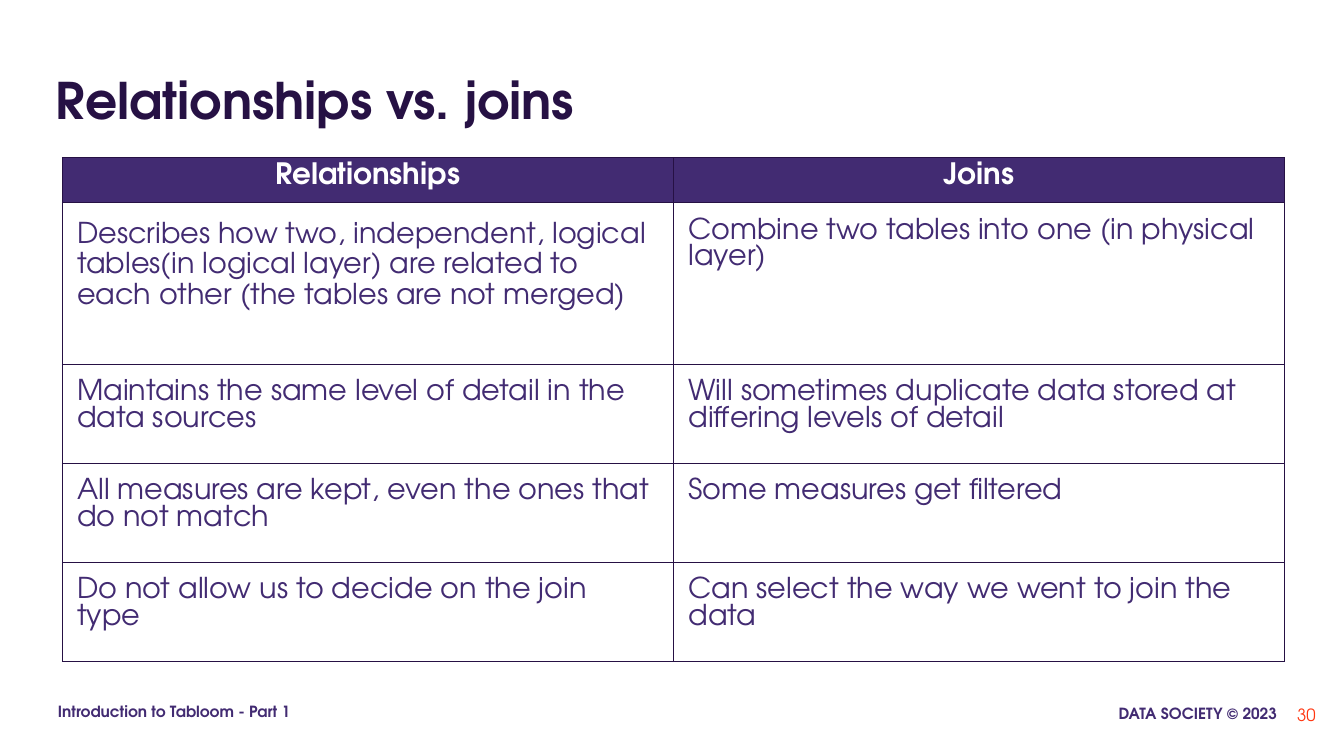
from lxml import etree
from pptx import Presentation
from pptx.dml.color import RGBColor
from pptx.enum import text
from pptx.oxml.ns import qn
from pptx.util import Inches, Pt

FONT = "TeX Gyre Adventor"
COLORS = {"title": "261144", "purple": "422B72", "white": "FFFFFF", "number": "FF350F"}
LEFT, CENTER, RIGHT = text.PP_ALIGN.LEFT, text.PP_ALIGN.CENTER, text.PP_ALIGN.RIGHT

ROWS = [
    ("Relationships", "Joins"),
    ("Describes how two, independent, logical tables(in logical layer) are related to "
     "each other (the tables are not merged)",
     "Combine two tables into one (in physical layer)"),
    ("Maintains the same level of detail in the data sources",
     "Will sometimes duplicate data stored at differing levels of detail"),
    ("All measures are kept, even the ones that do not match",
     "Some measures get filtered"),
    ("Do not allow us to decide on the join type",
     "Can select the way we went to join the data"),
]
ROW_HEIGHTS = [0.88, 3.2, 1.73, 1.73, 1.73]


def set_margins(obj, left, top, right, bottom):
    obj.margin_left, obj.margin_top = Inches(left), Inches(top)
    obj.margin_right, obj.margin_bottom = Inches(right), Inches(bottom)


def write(tf, words, size, color, bold=False, align=LEFT):
    tf.text = words
    p = tf.paragraphs[0]
    p.alignment = align
    font = p.runs[0].font
    font.name, font.size, font.bold = FONT, Pt(size), bold
    font.color.rgb = RGBColor.from_string(COLORS[color])
    return p


def add_text(s, box, words, size, color, bold=False, align=LEFT, inset=0.2,
             anchor=text.MSO_ANCHOR.TOP):
    tf = s.shapes.add_textbox(*map(Inches, box)).text_frame
    tf.word_wrap = True
    tf.vertical_anchor = anchor
    set_margins(tf, *[inset] * 4)
    write(tf, words, size, color, bold, align)


def set_borders(cell, color, width):
    tcPr = cell._tc.get_or_add_tcPr()
    for i, side in enumerate(("lnL", "lnR", "lnT", "lnB")):
        ln = etree.Element(qn("a:" + side), w=str(Pt(width)))
        fill = etree.SubElement(ln, qn("a:solidFill"))
        etree.SubElement(fill, qn("a:srgbClr"), val=COLORS[color])
        tcPr.insert(i, ln)  # borders come before the fill


def add_comparison(s, left, top, width):
    n_cols = len(ROWS[0])
    table = s.shapes.add_table(len(ROWS), n_cols, Inches(left), Inches(top),
                               Inches(width), Inches(sum(ROW_HEIGHTS))).table
    for col in table.columns:
        col.width = Inches(width / n_cols)
    for r, (height, row) in enumerate(zip(ROW_HEIGHTS, ROWS)):
        table.rows[r].height = Inches(height)
        for c, words in enumerate(row):
            cell = table.cell(r, c)
            if r == 0:
                p = write(cell.text_frame, words, 42, "white", True, CENTER)
                set_margins(cell, 0.1, 0.1, 0.1, 0.1)
                cell.fill.solid()
                cell.fill.fore_color.rgb = RGBColor.from_string(COLORS["purple"])
            else:
                p = write(cell.text_frame, words, 41, "purple")
                set_margins(cell, 0.3, 0.3, 0.4, 0.3)
                cell.fill.background()
            p.space_after = Pt(4 if r == 0 else 3)
            if (r, c) == (1, 0):
                p.line_spacing = 1.15
            set_borders(cell, "title", 0.75)


def add_footer(s, top):
    add_text(s, (0.91, top, 5.48, 0.85), "Introduction to Tabloom - Part 1",
             22, "purple", True, inset=0.24)
    add_text(s, (21.14, top + 0.04, 4.44, 0.85), "DATA SOCIETY © 2023",
             22, "purple", True, RIGHT, 0.24)
    add_text(s, (24.71, top - 0.14, 1.6, 1.15), "30", 24, "number",
             align=RIGHT, anchor=text.MSO_ANCHOR.MIDDLE)


def main():
    prs = Presentation()
    prs.slide_width, prs.slide_height = Inches(26.67), Inches(15)
    s = prs.slides.add_slide(prs.slide_layouts[6])

    # Title
    add_text(s, (0.91, 1.17, 24.85, 1.67), "Relationships vs. joins", 72, "title", True)
    # Comparison table
    add_comparison(s, 1.23, 3.12, 24.26)
    # Footer and page number
    add_footer(s, 13.74)

    prs.save("out.pptx")


if __name__ == "__main__":
    main()
